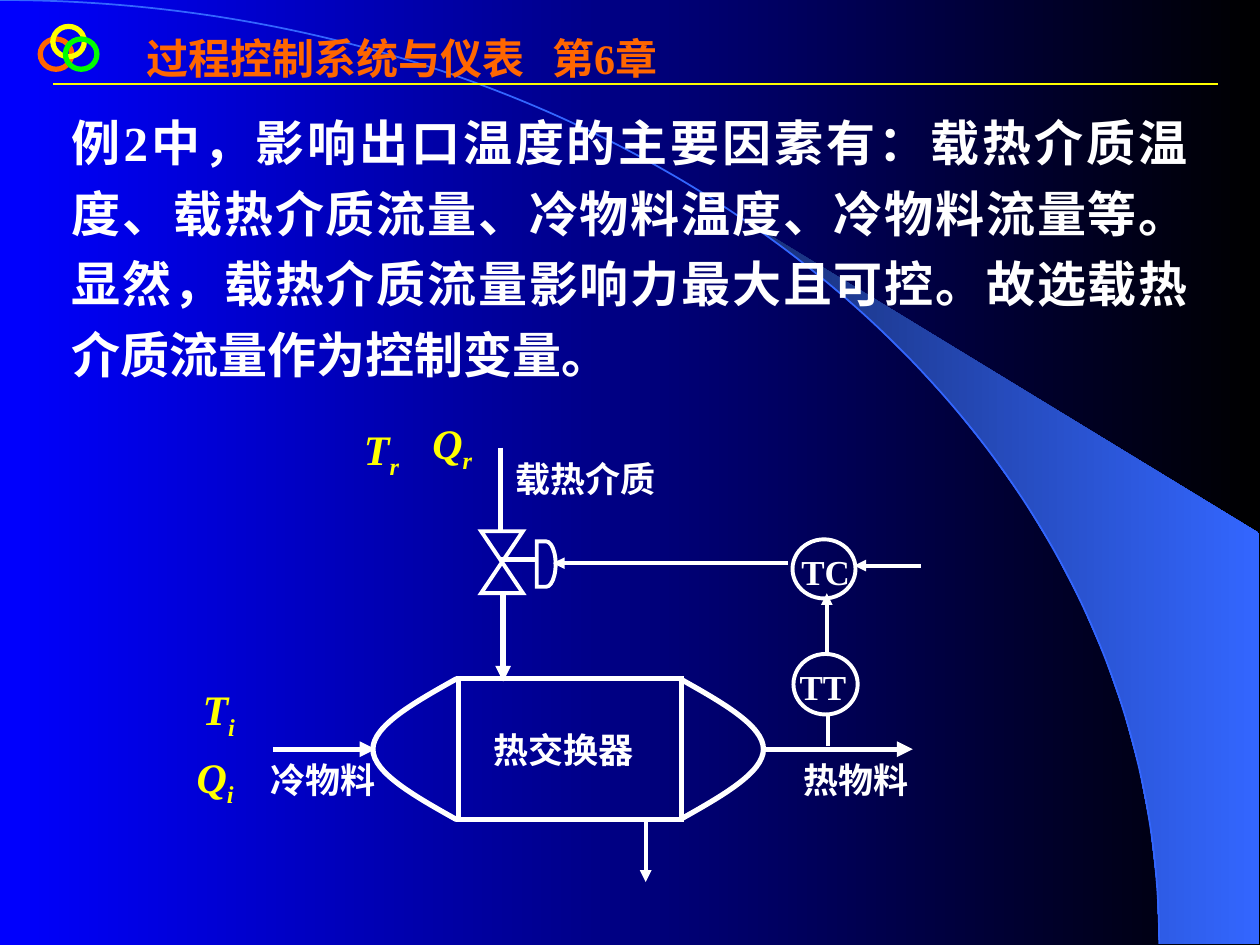
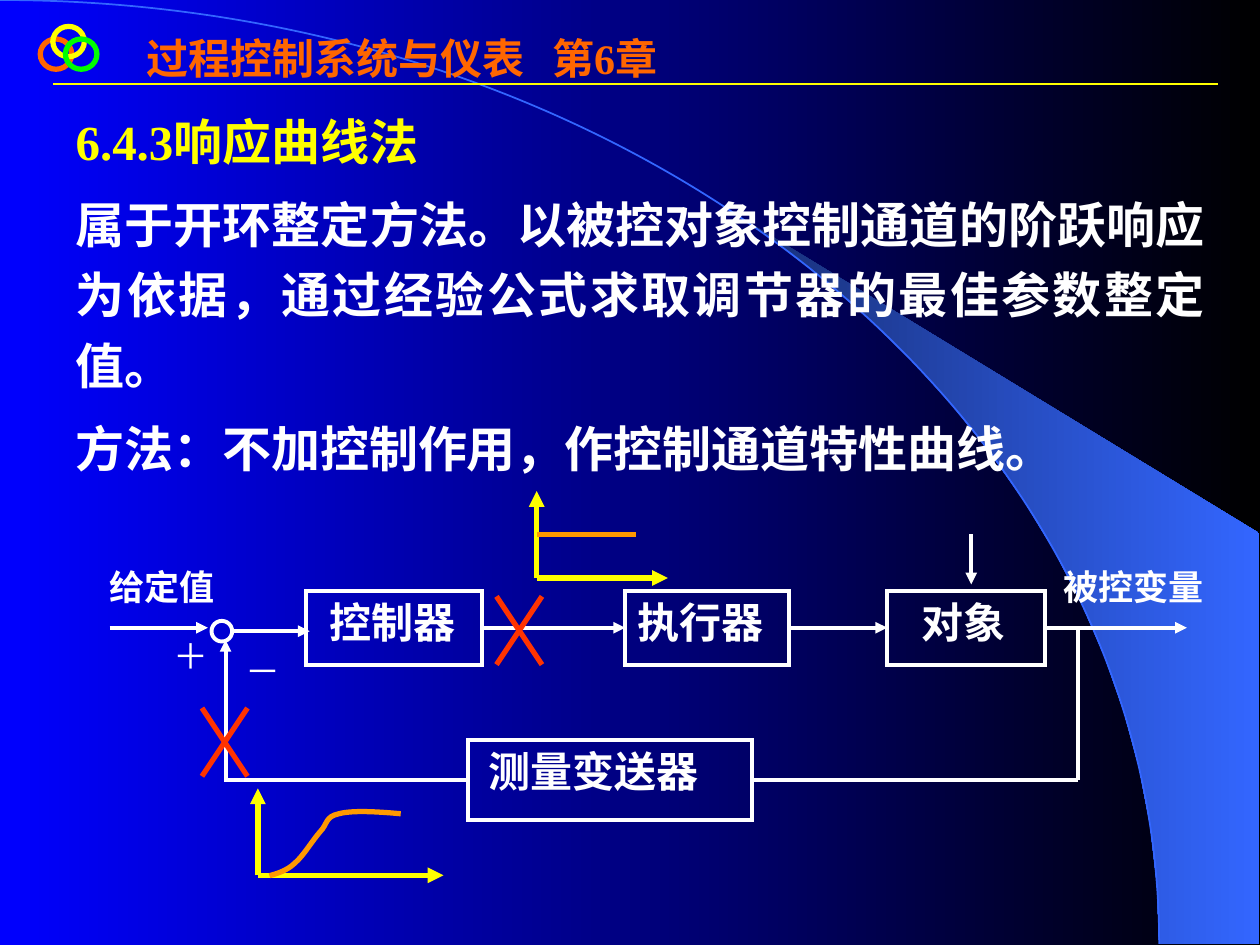
from dataclasses import dataclass

from pptx import Presentation
from pptx.dml.color import RGBColor
from pptx.enum.shapes import MSO_CONNECTOR, MSO_SHAPE
from pptx.enum.text import MSO_ANCHOR, MSO_AUTO_SIZE, PP_ALIGN
from pptx.oxml import parse_xml
from pptx.oxml.ns import nsdecls, qn
from pptx.util import Pt


@dataclass(frozen=True)
class Theme:
    font: str = "Times New Roman"
    white: str = "FFFFFF"
    yellow: str = "FFFF00"
    orange: str = "FF6600"
    green: str = "00FF00"
    red: str = "FF3300"
    curve: str = "FF9900"
    blue: str = "0000FF"
    black: str = "000000"
    arc: str = "3366FF"
    arc_dark: str = "182F76"
    body: float = 28
    heading: float = 24
    label: float = 20
    thin: float = 2.25
    thick: float = 3


T = Theme()


def rgb(value):
    return RGBColor.from_string(value)


def xml(tag):
    """Make one DrawingML element from the inside of its tag."""
    name, _, attributes = tag.partition(" ")
    return parse_xml(f"<a:{name} {nsdecls('a')} {attributes}/>")


def set_gradient(fill, start, end):
    fill.gradient()
    fill.gradient_angle = 0
    for stop, color in zip(fill.gradient_stops, (start, end)):
        stop.color.rgb = rgb(color)


def format_run(r, size, color, bold=True, italic=False):
    font = r.font
    font.name, font.size, font.bold, font.italic = T.font, Pt(size), bold, italic
    font.color.rgb = rgb(color)


def outline(sp, color, width):
    sp.shadow.inherit = False
    sp.fill.background()
    sp.line.color.rgb = rgb(color)
    sp.line.width = Pt(width)
    sp.line._get_or_add_ln().append(xml('miter lim="800000"'))


def add_shape(slide, kind, x, y, w, h, color=T.white, width=T.thin):
    sp = slide.shapes.add_shape(kind, Pt(x), Pt(y), Pt(w), Pt(h))
    outline(sp, color, width)
    return sp


def add_line(slide, start, end, color=T.white, width=T.thin, arrow=False):
    """Draw a line; an end is a point or a (shape, connection site) pair."""
    points = [(0, 0) if hasattr(e[0], "shape_id") else e for e in (start, end)]
    line = slide.shapes.add_connector(
        MSO_CONNECTOR.STRAIGHT, *(Pt(v) for point in points for v in point))
    if hasattr(start[0], "shape_id"):
        line.begin_connect(*start)
    if hasattr(end[0], "shape_id"):
        line.end_connect(*end)
    line.line.color.rgb = rgb(color)
    line.line.width = Pt(width)
    if arrow:
        line.line._get_or_add_ln().append(xml('tailEnd type="triangle"'))
    line._element.spPr.append(xml("effectLst"))
    return line


def bezier(p0, p1, p2, p3, steps):
    """Return points along a cubic curve."""
    points = []
    for i in range(steps + 1):
        t = i / steps
        weights = ((1 - t) ** 3, 3 * t * (1 - t) ** 2, 3 * t * t * (1 - t), t ** 3)
        points.append(tuple(sum(k * p[axis] for k, p in zip(weights, (p0, p1, p2, p3)))
                            for axis in (0, 1)))
    return points


def add_path(slide, points, close=False):
    emu = [(Pt(x), Pt(y)) for x, y in points]
    builder = slide.shapes.build_freeform(*emu[0])
    builder.add_line_segments(emu[1:], close=close)
    return builder.convert_to_shape()


def add_curve(slide, points, color, width):
    """Draw a cubic path: a start, then two controls and an end per segment."""
    sp = add_path(slide, points)
    steps = list(sp._element.iter(qn("a:lnTo")))
    for i in range(0, len(steps), 3):
        segment = xml("cubicBezTo")
        steps[i].addprevious(segment)
        for step in steps[i:i + 3]:
            segment.append(step[0])
            step.getparent().remove(step)
    outline(sp, color, width)
    return sp


def add_label(slide, text, x, y, w, size=T.label, color=T.white, bold=True):
    sp = slide.shapes.add_textbox(Pt(x), Pt(y), Pt(w), Pt(34))
    tf = sp.text_frame
    tf.word_wrap = True
    tf.text = text
    format_run(tf.paragraphs[0].runs[0], size, color, bold)
    return sp


def add_symbol(slide, name, index, x, y):
    """Write an italic quantity with its subscript."""
    sp = add_label(slide, name, x, y, 45, T.heading, T.yellow)
    p = sp.text_frame.paragraphs[0]
    p.add_run().text = index
    for r in p.runs:
        format_run(r, T.heading, T.yellow, italic=True)
    p.runs[1].font._element.set("baseline", "-25000")


def add_block(slide, text, x, y, w, h, inset, size=T.heading, width=T.thin,
              anchor=MSO_ANCHOR.TOP):
    sp = add_shape(slide, MSO_SHAPE.RECTANGLE, x, y, w, h, width=width)
    tf = sp.text_frame
    tf.word_wrap = True
    tf.vertical_anchor = anchor
    tf.margin_left, tf.margin_right = Pt(inset), 0
    tf.text = text
    tf.paragraphs[0].alignment = PP_ALIGN.LEFT
    format_run(tf.paragraphs[0].runs[0], size, T.white)
    return sp


def add_instrument(slide, code, x, y, w, h, left=0, right=0):
    sp = add_shape(slide, MSO_SHAPE.OVAL, x, y, w, h)
    tf = sp.text_frame
    tf.word_wrap = False
    tf.margin_left, tf.margin_right = Pt(left), Pt(right)
    tf.margin_top, tf.margin_bottom = Pt(3), 0
    tf.vertical_anchor = MSO_ANCHOR.MIDDLE
    tf.text = code
    tf.paragraphs[0].alignment = PP_ALIGN.CENTER
    format_run(tf.paragraphs[0].runs[0], T.label, T.white)


def add_end_cap(slide, flat_x, tip_x, top, bottom):
    """Draw the rounded end of the heat exchanger."""
    mid_x, mid_y = (flat_x + tip_x) / 2, (top + bottom) / 2
    lean = (bottom - top) / 6
    add_curve(slide, [(flat_x, top), (mid_x, top + lean), (tip_x, mid_y - lean),
                      (tip_x, mid_y), (tip_x, mid_y + lean), (mid_x, bottom - lean),
                      (flat_x, bottom)], T.white, T.thick)


def add_axes(slide, x, y, length):
    for end in ((x + length, y), (x, y - 49.7)):
        add_line(slide, (x, y), end, T.yellow, T.thick, arrow=True)


def add_cross(slide, x, y):
    w, h = 26, 39
    add_line(slide, (x, y), (x + w, y + h), T.red, T.thick)
    add_line(slide, (x + w, y), (x, y + h), T.red, T.thick)


def build_frame(slide, layout):
    """Draw the shared decoration, then move it to the layout."""
    arc = [(0, 0), (365.8, 0), (662.4, 241.2), (662.4, 539.3)]
    fan = [p for p in bezier(*arc, 26) if p[0] > 424]
    fan += [(719.3, 539.3), (719.3, 304.6), (424, 124.6)]
    sp = add_path(slide, fan, close=True)
    sp.shadow.inherit = False
    set_gradient(sp.fill, T.arc_dark, T.arc)
    sp.line.fill.background()
    add_curve(slide, arc, T.arc, 1)
    add_line(slide, (30.2, 48), (696.2, 48), T.yellow, 1.5)
    for i, color in enumerate((T.orange, T.yellow, T.green)):
        y = 15.1 if i == 1 else 22.3
        add_shape(slide, MSO_SHAPE.OVAL, 23 + 7.2 * i, y, 18, 17.3, color, T.thick)
    decoration = [s for s in slide.shapes if not s.is_placeholder]
    for number, s in enumerate(decoration, 100):
        s._element.xpath(".//p:cNvPr")[0].set("id", str(number))
        layout.shapes._spTree.append(s._element)


def place(ph, x, y, w, h):
    ph.left, ph.top, ph.width, ph.height = Pt(x), Pt(y), Pt(w), Pt(h)
    tf = ph.text_frame
    tf.auto_size = MSO_AUTO_SIZE.NONE
    tf.vertical_anchor = MSO_ANCHOR.TOP
    return tf


def fill_title(slide):
    tf = place(slide.shapes.title, 76.3, 15.1, 323, 65)
    tf.text = "过程控制系统与仪表\t第6章"
    p = tf.paragraphs[0]
    p.alignment = PP_ALIGN.LEFT
    tabs = xml("tabLst")
    tabs.append(xml(f'tab pos="{Pt(232)}" algn="l"'))
    p._p.get_or_add_pPr().append(tabs)
    format_run(p.runs[0], T.heading, T.orange)


def fill_body(slide, box, paragraphs):
    tf = place(slide.placeholders[1], *box)
    for i, (text, color) in enumerate(paragraphs):
        p = tf.add_paragraph() if i else tf.paragraphs[0]
        p.text = text
        pPr = p._p.get_or_add_pPr()
        for name in ("marL", "indent", "hangingPunct"):
            pPr.set(name, "0")
        pPr.append(xml("buNone"))
        p.alignment = PP_ALIGN.JUSTIFY
        p.line_spacing = 1.2
        p.space_before = Pt(7 if i else 0)
        format_run(p.runs[0], T.body, color)


def build_exchanger_slide(slide):
    fill_body(slide, (33.8, 54, 652.3, 168.5), [(
        "例2中，影响出口温度的主要因素有：载热介质温度、载热介质流量、冷物料温度、"
        "冷物料流量等。显然，载热介质流量影响力最大且可控。故选载热介质流量作为控制变量。",
        T.white)])
    top, bottom = 387.8, 468.4
    flow_y = (top + bottom) / 2
    add_block(slide, "热交换器", 262, top, 127.5, bottom - top, 20, T.label, T.thick,
              MSO_ANCHOR.MIDDLE)
    add_end_cap(slide, 261, 213.1, top, bottom)
    add_end_cap(slide, 388.5, 436.3, top, bottom)
    add_shape(slide, MSO_SHAPE.FLOWCHART_COLLATE, 275, 303.6, 23.8, 35.3)
    add_shape(slide, MSO_SHAPE.FLOWCHART_DELAY, 306.7, 309.4, 10.8, 25.9)
    add_instrument(slide, "TT", 453.4, 373.7, 36.7, 34.6, right=3)
    add_instrument(slide, "TC", 452.9, 308.2, 36, 33.8, left=2)
    for start, end, width, arrow in (
            ((437, flow_y), (521.6, flow_y), T.thick, True),
            ((156.2, flow_y), (214.6, flow_y), T.thick, True),
            ((287.5, 339), (287.5, 389.5), T.thick, True),
            ((369, bottom), (369, 504), T.thin, True),
            ((285.8, 255.8), (285.8, 303), T.thick, False),
            ((285.8, 319.7), (306.7, 319.7), T.thick, False),
            ((450, 321.8), (316, 321.8), T.thin, True),
            ((526.3, 323.2), (488.2, 323.2), T.thin, True),
            ((472.5, 375), (472.5, 339), T.thin, True),
            ((473.3, 408), (473.3, 426.2), T.thin, False)):
        add_line(slide, start, end, width=width, arrow=arrow)
    for text, x, y in (("热物料", 452, 430), ("冷物料", 147.6, 430),
                       ("载热介质", 287.6, 257.8)):
        add_label(slide, text, x, y, 104)
    for name, index, x, y in (("Q", "r", 240, 235), ("Q", "i", 105.3, 425.8),
                              ("T", "i", 108.7, 387), ("T", "r", 200.9, 238.3)):
        add_symbol(slide, name, index, x, y)


def build_response_slide(slide):
    fill_body(slide, (36, 53.3, 660, 223), [
        ("6.4.3响应曲线法", T.yellow),
        ("属于开环整定方法。以被控对象控制通道的阶跃响应为依据，"
         "通过经验公式求取调节器的最佳参数整定值。", T.white),
        ("方法：不加控制作用，作控制通道特性曲线。", T.white)])
    add_axes(slide, 306.7, 330.3, 75)
    add_line(slide, (306.7, 305.3), (363.6, 305.3), T.curve, T.thick)
    add_axes(slide, 147.4, 500.2, 106)
    add_curve(slide, [(154, 500.4), (159, 499), (164, 497.5), (168.5, 493.2),
                      (173.5, 489), (178.6, 480.2), (183, 475.2),
                      (187.2, 471), (185.8, 466.6), (193.7, 465),
                      (201, 463), (214.6, 463.7), (229, 465)], T.curve, T.thick)

    loop_y, sum_x, sum_y = 358.7, 126.8, 360.7
    feedback_y, return_x, tap_x = 445.7, 128.9, 616
    controller, actuator, plant = (
        add_block(slide, text, x, loop_y - 21.2, w, 42.4, inset)
        for text, x, w, inset in (("控制器", 174.9, 100.8, 13.5),
                                  ("执行器", 357.2, 93.6, 7.2),
                                  ("对象", 507, 90, 19.8)))
    sensor = add_block(slide, "测量变送器", 267.6, feedback_y - 23, 162, 46, 11.8)
    add_shape(slide, MSO_SHAPE.OVAL, sum_x - 5.9, sum_y - 5.9, 11.8, 11.8)
    for start, end, arrow in (
            ((62.6, loop_y), (118.8, loop_y), True),
            ((sum_x + 7, sum_y), (177, sum_y), True),
            ((controller, 3), (actuator, 1), True),
            ((actuator, 3), (plant, 1), True),
            ((plant, 3), (678.2, loop_y), True),
            ((555, 305.3), (555, 334), True),
            ((tap_x, loop_y), (tap_x, feedback_y), False),
            ((tap_x, feedback_y), (sensor, 3), False),
            ((sensor, 1), (return_x - 1, feedback_y), False),
            ((return_x, feedback_y + 1), (return_x, sum_y + 5), True)):
        add_line(slide, start, end, arrow=arrow)
    add_label(slide, "给定值", 55.4, 319.7, 80)
    add_label(slide, "被控变量", 600.5, 319.7, 106.6)
    add_label(slide, "＋", 92.2, 358.9, 45, bold=False)
    add_label(slide, "－", 133.2, 367.5, 45, bold=False)
    add_cross(slide, 115.4, 404.6)
    add_cross(slide, 283.7, 340.8)


def main():
    prs = Presentation()
    prs.slide_width, prs.slide_height = Pt(720), Pt(540)
    set_gradient(prs.slide_master.background.fill, T.blue, T.black)
    layout = prs.slide_layouts[1]
    builders = (build_exchanger_slide, build_response_slide)
    slides = [prs.slides.add_slide(layout) for _ in builders]
    build_frame(slides[0], layout)
    for slide, build in zip(slides, builders):
        fill_title(slide)
        build(slide)
    prs.save("out.pptx")


if __name__ == "__main__":
    main()
